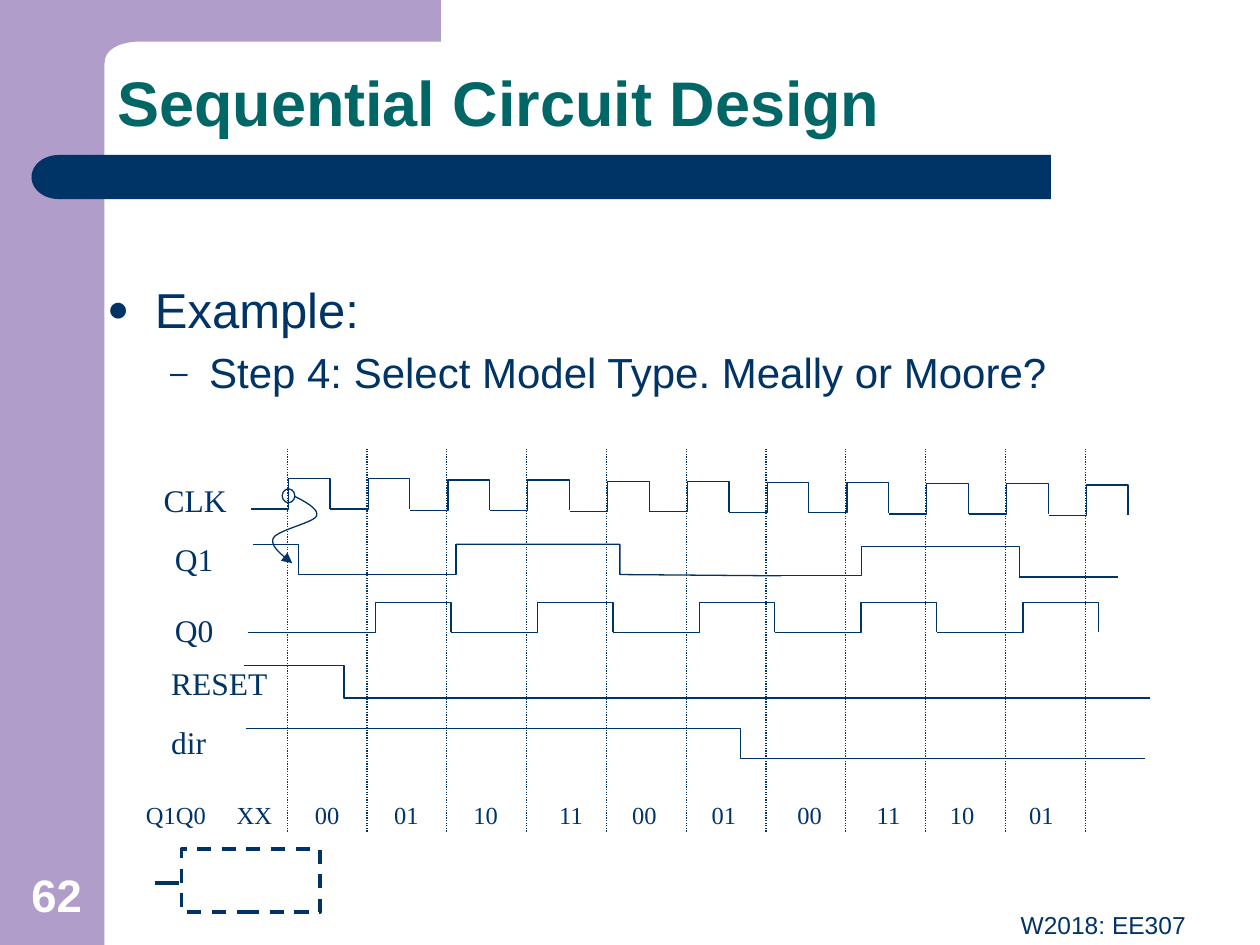
from dataclasses import dataclass

from lxml import etree
from pptx import Presentation
from pptx.dml.color import RGBColor
from pptx.enum.dml import MSO_LINE
from pptx.enum.shapes import MSO_CONNECTOR, MSO_SHAPE
from pptx.enum.text import MSO_ANCHOR, MSO_AUTO_SIZE, PP_ALIGN
from pptx.oxml.ns import qn
from pptx.util import Inches, Pt

RECT, DELAY, OVAL = MSO_SHAPE.RECTANGLE, MSO_SHAPE.FLOWCHART_DELAY, MSO_SHAPE.OVAL
DOT, DASH = MSO_LINE.ROUND_DOT, MSO_LINE.DASH
TOP, BASE = MSO_ANCHOR.TOP, MSO_ANCHOR.BOTTOM
LEFT, MID, RIGHT = PP_ALIGN.LEFT, PP_ALIGN.CENTER, PP_ALIGN.RIGHT
STEP = 0.6333


@dataclass(frozen=True)
class Theme:
    navy: str = "003366"
    teal: str = "006666"
    lilac: str = "B09DC9"
    white: str = "FFFFFF"
    sans: str = "Arial"
    serif: str = "Times New Roman"
    title: int = 36
    item: int = 28
    sub: int = 24
    page: int = 26
    label: int = 18
    small: int = 14
    thin: float = 0.75
    thick: float = 2


THEME = Theme()


def color(code):
    return RGBColor.from_string(code)


def style(para, size, face=THEME.sans, tint=THEME.navy, bold=False):
    for run in para.runs:
        font = run.font
        font.size, font.name, font.bold = Pt(size), face, bold
        font.color.rgb = color(tint)


def place(shape, box):
    shape.left, shape.top, shape.width, shape.height = map(Inches, box)


def stroke(line, width=THEME.thin, dash=None):
    line.color.rgb = color(THEME.navy)
    line.width = Pt(width)
    if dash:
        line.dash_style = dash


def block(slide, kind, box, fill=None, width=None, dash=None):
    shape = slide.shapes.add_shape(kind, *map(Inches, box))
    shape.shadow.inherit = False
    if fill:
        shape.fill.solid()
        shape.fill.fore_color.rgb = color(fill)
    else:
        shape.fill.background()
    if width:
        stroke(shape.line, width, dash)
    else:
        shape.line.fill.background()
    return shape


def path(slide, points, fill=None):
    spots = [(Inches(x), Inches(y)) for x, y in points]
    build = slide.shapes.build_freeform(*spots[0])
    build.add_line_segments(spots[1:], close=bool(fill))
    shape = build.convert_to_shape()
    shape.shadow.inherit = False
    if fill:
        shape.fill.solid()
        shape.fill.fore_color.rgb = color(fill)
        shape.line.fill.background()
    else:
        shape.fill.background()
        stroke(shape.line)
    return shape


def curve(a, b, c, d, count=12):
    def blend(t, axis):
        s = 1 - t
        return (s**3 * a[axis] + 3 * s * s * t * b[axis]
                + 3 * s * t * t * c[axis] + t**3 * d[axis])
    return [(blend(i / count, 0), blend(i / count, 1)) for i in range(count + 1)]


def rule(slide, start, end, width=THEME.thin, dash=None):
    line = slide.shapes.add_connector(
        MSO_CONNECTOR.STRAIGHT, *map(Inches, start + end))
    stroke(line.line, width, dash)
    etree.SubElement(line._element.spPr, qn("a:effectLst"))


def write(slide, text, box, size, face=THEME.serif, tint=THEME.navy,
          bold=False, align=LEFT, anchor=TOP):
    shape = slide.shapes.add_textbox(*map(Inches, box))
    frame = shape.text_frame
    frame.word_wrap = True
    frame.vertical_anchor = anchor
    para = frame.paragraphs[0]
    para.text = text
    para.alignment = align
    style(para, size, face, tint, bold)
    return para


def bullet(para, mark, indent, hang):
    props = para._p.get_or_add_pPr()
    props.set("marL", str(Inches(indent)))
    props.set("indent", str(-Inches(hang)))
    tint = etree.SubElement(props, qn("a:buClr"))
    etree.SubElement(tint, qn("a:srgbClr"), val=THEME.navy)
    etree.SubElement(props, qn("a:buSzPct"), val="75000")
    etree.SubElement(props, qn("a:buFont"), typeface=THEME.sans)
    etree.SubElement(props, qn("a:buChar"), char=mark)


def frame_art(slide):
    block(slide, RECT, (0, 0, 0.83, 7.5), THEME.lilac)
    bend = curve((1.11, 0.33), (0.96, 0.33), (0.83, 0.39), (0.83, 0.5))
    path(slide, [(0.5, 0), (3.5, 0), (3.5, 0.33), *bend, (0.5, 0.5)], THEME.lilac)
    block(slide, RECT, (0.67, 1.23, 7.67, 0.35), THEME.navy)
    block(slide, DELAY, (0.25, 1.23, 0.43, 0.35), THEME.navy).rotation = 180


def heading(slide):
    title = slide.shapes.title
    place(title, (0.83, 0.33, 8.67, 0.83))
    frame = title.text_frame
    frame.text = "Sequential Circuit Design"
    frame.auto_size = MSO_AUTO_SIZE.NONE
    frame.vertical_anchor = BASE
    para = frame.paragraphs[0]
    para.alignment, para.line_spacing = LEFT, 0.9
    style(para, THEME.title, tint=THEME.teal, bold=True)


def outline(slide):
    body = slide.placeholders[1]
    place(body, (0.75, 2.17, 8.91, 4.5))
    frame = body.text_frame
    frame.text = "Example:\nStep 4: Select Model Type. Meally or Moore?"
    frame.auto_size = MSO_AUTO_SIZE.NONE
    looks = [(THEME.item, "●", 0.38, 0.38), (THEME.sub, "–", 0.81, 0.31)]
    for level, (para, look) in enumerate(zip(frame.paragraphs, looks)):
        size, mark, indent, hang = look
        para.level = level
        para.space_before = Pt(size * 0.2)
        style(para, size)
        bullet(para, mark, indent, hang)


def pulse(slide, start, rise, fall, low, high):
    path(slide, [(start, low), (rise, low), (rise, high), (fall, high), (fall, low)])


def waves(slide):
    for i in range(11):
        x, y = 1.99 + STEP * i, 3.8 + 0.01 * (i // 2)
        pulse(slide, x, x + 0.3, x + 0.63, y + 0.24, y)
        grid = 2.28 + STEP * i
        rule(slide, (grid, 3.56), (grid, 6.6), dash=DOT)
    start = 1.97
    for i in range(5):
        fall = 3.58 + 1.285 * i
        pulse(slide, start, fall - 0.6, fall, 5.02, 4.78)
        start = fall
    pulse(slide, 2.01, 2.37, 3.62, 4.32, 4.56)
    path(slide, [(3.62, 4.32), (4.92, 4.32), (4.92, 4.56), (6.2, 4.57)])
    pulse(slide, 6.2, 6.84, 8.09, 4.57, 4.34)
    rule(slide, (8.09, 4.58), (8.87, 4.58))
    path(slide, [(1.94, 5.28), (2.73, 5.28), (2.73, 5.54), (9.13, 5.54)])
    path(slide, [(1.95, 5.78), (5.88, 5.78), (5.88, 6.02), (9.09, 6.02)])


def cause(slide):
    block(slide, OVAL, (2.24, 3.88, 0.1, 0.11), width=THEME.thin)
    bends = [
        ((2.34, 3.94), (2.44, 3.99), (2.54, 4.05), (2.51, 4.1)),
        ((2.51, 4.1), (2.48, 4.15), (2.2, 4.21), (2.17, 4.27)),
        ((2.17, 4.27), (2.14, 4.33), (2.23, 4.4), (2.32, 4.47)),
    ]
    points = [spot for bend in bends for spot in curve(*bend)]
    line = path(slide, points).line
    etree.SubElement(line._get_or_add_ln(), qn("a:tailEnd"), type="triangle")


def labels(slide):
    for text, x, y in [("CLK", 1.2, 3.77), ("Q1", 1.29, 4.24), ("Q0", 1.29, 4.8),
                       ("RESET", 1.26, 5.22), ("dir", 1.26, 5.69)]:
        write(slide, text, (x, y, 1.01, 0.4), THEME.label)
    states = "Q1Q0 XX 00 01 10 11 00 01 00 11 10 01".split()
    para = write(slide, "\t".join(states), (1.06, 6.3, 8.34, 0.33), THEME.small)
    tabs = etree.SubElement(para._p.get_or_add_pPr(), qn("a:tabLst"))
    for stop in (0.72, 1.34, 1.97, 2.6, 3.28, 3.86, 4.49, 5.17, 5.8, 6.38, 7.01):
        etree.SubElement(tabs, qn("a:tab"), pos=str(Inches(stop)), algn="l")


def footer(slide):
    write(slide, "62", (0, 6.83, 0.9, 0.53), THEME.page, THEME.sans,
          THEME.white, True, MID, BASE)
    write(slide, "W2018: EE307", (3.42, 7.17, 6.09, 0.52), THEME.small,
          THEME.sans, align=RIGHT)
    block(slide, RECT, (1.44, 6.74, 1.1, 0.5), THEME.white, THEME.thick, DASH)
    rule(slide, (1.23, 7.01), (1.42, 7.01), THEME.thick)


def main():
    deck = Presentation()
    deck.slide_width, deck.slide_height = Inches(10), Inches(7.5)
    slide = deck.slides.add_slide(deck.slide_layouts[1])
    for draw in (frame_art, heading, outline, waves, cause, labels, footer):
        draw(slide)
    deck.save("out.pptx")


if __name__ == "__main__":
    main()
